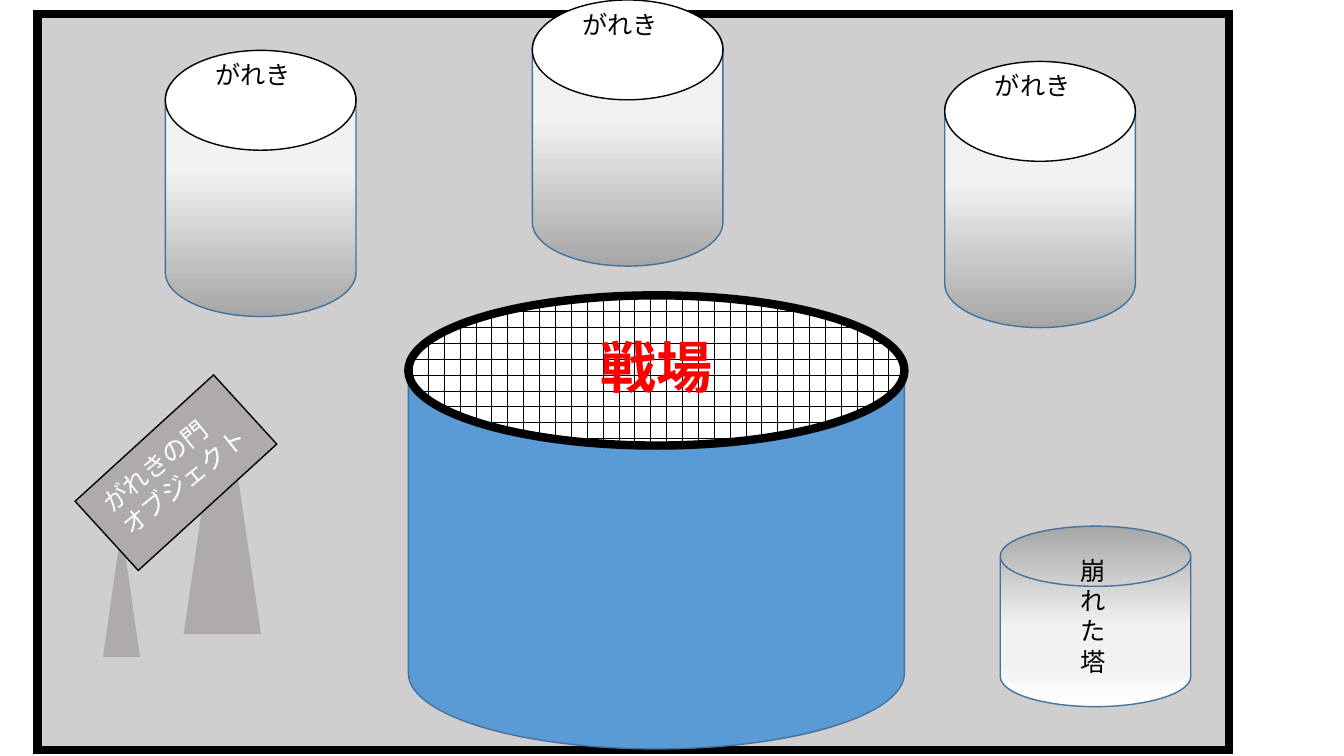
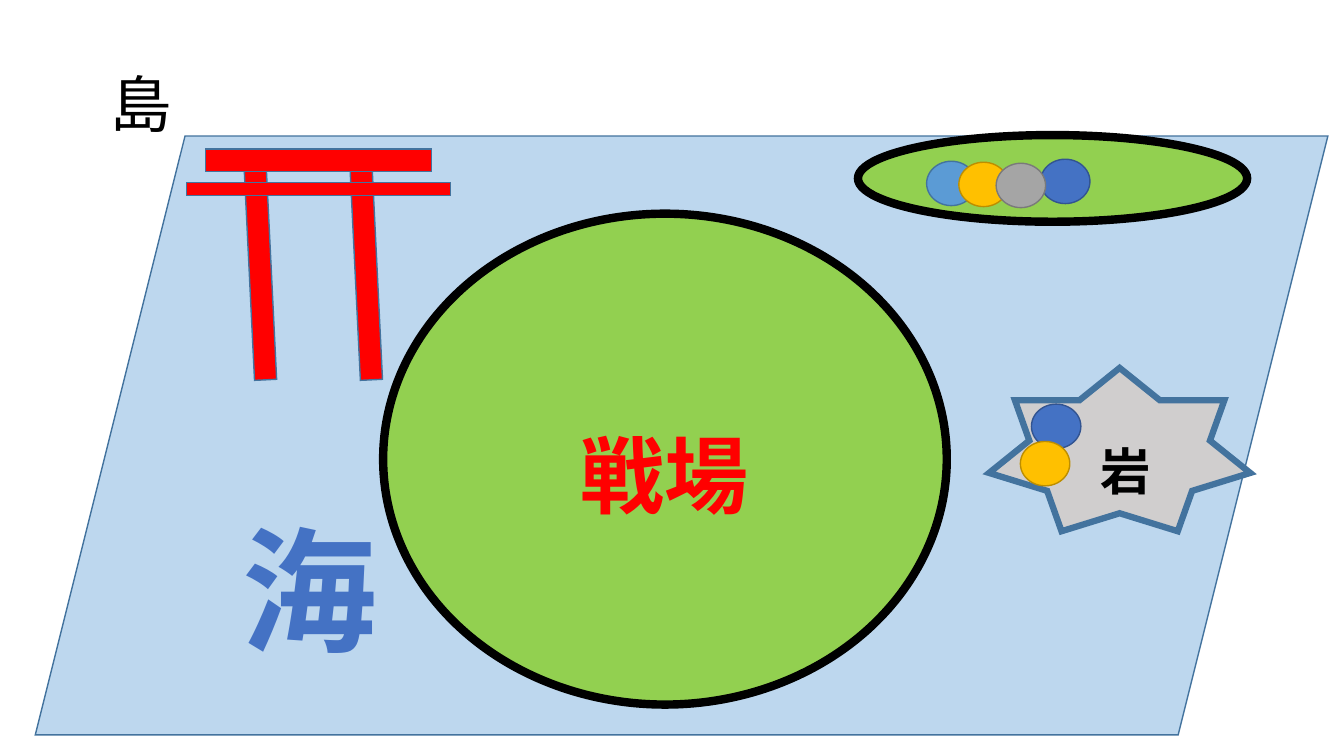
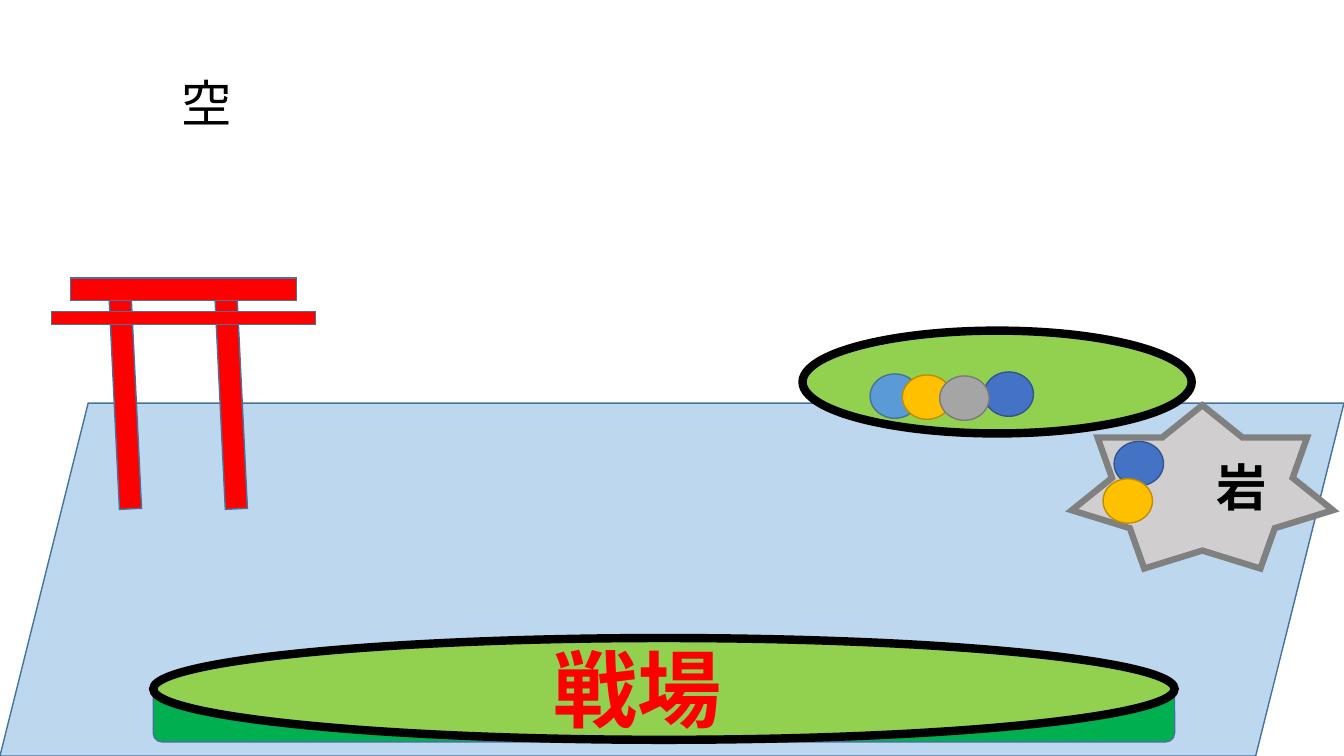
from lxml import etree
from pptx import Presentation, util as u
from pptx.dml.color import RGBColor
from pptx.enum import dml, lang, shapes, text
from pptx.oxml.ns import qn

C = {
    "black": "000000", "white": "FFFFFF", "red": "FF0000",
    "ground": "D0CECE", "gate": "AFABAB", "edge": "43739E",
    "sea": "BDD7EE", "grass": "92D050", "cliff": "00B050", "rock_edge": "808080",
    "blue": "5B9BD5", "gold": "FFC000", "gold_edge": "BD8E00",
    "navy": "4472C4", "navy_edge": "325491", "grey": "A5A5A5", "grey_edge": "7A7A7A",
}
FONT = "Calibri"
STONE = [(0, "FFFFFF"), (25, "F2F2F2"), (44, "F2F2F2"), (100, "A6A6A6")]
G = shapes.MSO_SHAPE
CENTER = text.PP_ALIGN.CENTER
DOT = (0.49, 0.44)


def add_shape(s, kind, at, fill, line="edge", width=1, rot=0):
    """Add a preset shape; without a fill colour the caller sets the fill."""
    sp = s.shapes.add_shape(kind, *map(u.Inches, at))
    sp.shadow.inherit = False
    sp.rotation = rot
    if fill:
        sp.fill.solid()
        sp.fill.fore_color.rgb = RGBColor.from_string(C[fill])
    sp.line.color.rgb = RGBColor.from_string(C[line])
    sp.line.width = u.Pt(width)
    etree.SubElement(sp.line._get_or_add_ln(), qn("a:miter"), lim="800000")
    return sp


def add_label(s, at, lines, size, color="black", bold=False, align=None, rot=0):
    tb = s.shapes.add_textbox(*map(u.Inches, at))
    tb.rotation = rot
    tf = tb.text_frame
    tf.word_wrap = True
    tf.text = lines
    fmt = {"name": FONT, "size": u.Pt(size), "bold": bold,
           "language_id": lang.MSO_LANGUAGE_ID.JAPANESE}
    for p in tf.paragraphs:
        p.alignment = align
        for r in p.runs:
            for key, value in fmt.items():
                setattr(r.font, key, value)
            r.font.color.rgb = RGBColor.from_string(C[color])
    return tf


prs = Presentation()
prs.slide_width, prs.slide_height = u.Inches(13.33), u.Inches(7.5)
blank = prs.slide_layouts[6]

# Slide 1: ruins
s = prs.slides.add_slide(blank)
add_shape(s, G.RECTANGLE, (0.37, 0.14, 11.82, 7.3), "ground", "black", 6)
add_shape(s, G.FLOWCHART_MAGNETIC_DISK, (4.05, 2.93, 4.92, 4.5), "blue")
arena = add_shape(s, G.OVAL, (4.05, 2.93, 4.92, 1.49), None, "black", 6)
arena.fill.patterned()
arena.fill.pattern = dml.MSO_PATTERN.DOTTED_GRID
arena.fill.fore_color.rgb = RGBColor.from_string(C["black"])
arena.fill.back_color.rgb = RGBColor.from_string(C["white"])
add_label(s, (5.28, 3.25, 2.46, 0.77), "戦場", 40, "red", True, CENTER)

# Stone cylinders: left, top, height, gradient angle, rubble on top
for x, y, h, angle, rubble in [
    (1.64, 0.54, 2.6, 270, True),
    (5.28, 0.04, 2.6, 270, True),
    (9.37, 0.65, 2.6, 270, True),
    (9.92, 5.22, 1.79, 90, False),
]:
    sp = add_shape(s, G.FLOWCHART_MAGNETIC_DISK, (x, y, 1.89, h), None)
    sp.fill.gradient()
    sp.fill.gradient_angle = angle
    stops = sp._element.spPr.find(".//" + qn("a:gsLst"))
    for old in list(stops):
        stops.remove(old)
    for pos, color in STONE:
        gs = etree.SubElement(stops, qn("a:gs"), pos=str(pos * 1000))
        etree.SubElement(gs, qn("a:srgbClr"), val=color)
    if rubble:
        add_shape(s, G.OVAL, (x, y - 0.04, 1.89, 0.99), "white", "black")
        add_label(s, (x + 0.4, y, 1.1, 0.4), "がれき", 18)
add_label(s, (10.62, 5.46, 0.64, 1.31), "崩れた塔", 18)

for leg_at in [(1.03, 5.46, 0.35, 1.05), (1.83, 4.09, 0.75, 2.19)]:
    leg = add_shape(s, G.TRAPEZOID, leg_at, "gate", "gate")
    leg.adjustments[0] = 0.428
add_shape(s, G.RECTANGLE, (1.28, 3.76, 0.93, 1.86), "gate", "black", rot=47.6)
add_label(s, (0.88, 4.3, 1.72, 0.71), "がれきの門\nオブジェクト", 18, "white", rot=321.1)

# Slides 2 and 3: the same island, seen from above and from the side
TORII = [(0.43, 0.05, 0.22, 2.24, 357.2), (1.48, 0.05, 0.22, 2.24, 357.2),
         (0, 0, 2.24, 0.22, 0), (-0.19, 0.33, 2.62, 0.13, 0)]
ROCK_CREW = [(0.42, 0.36, "navy", "navy_edge"), (0.31, 0.73, "gold", "gold_edge")]
ISLET_CREW = [(0, 0, "blue", "edge"), (0.32, 0.01, "gold", "gold_edge"),
              (1.13, -0.02, "navy", "navy_edge"), (0.69, 0.02, "grey", "grey_edge")]
VIEWS = [
    {"sea": (0.35, 1.35, 12.82, 5.94), "torii": (2.04, 1.48), "cliff": None,
     "field": (3.8, 2.12, 5.59, 4.87), "field_label": (5.36, 4.15, 2.46, 1.11),
     "rock": (9.81, 3.65), "rock_edge": "edge", "rock_label": (9.94, 4.32, 2.46, 0.71),
     "islet": (8.51, 1.34, 3.86, 0.86), "crew": (9.19, 1.6)},
    {"sea": (0, 4, 13.33, 3.5), "torii": (0.7, 2.76), "cliff": (1.52, 6.84, 10.13, 0.52),
     "field": (1.52, 6.33, 10.13, 1.01), "field_label": (4.09, 6.28, 4.47, 1.11),
     "rock": (10.63, 4.02), "rock_edge": "rock_edge", "rock_label": (11.09, 4.48, 2.46, 0.71),
     "islet": (7.96, 3.28, 3.86, 1.02), "crew": (8.63, 3.71)},
]
view_slides = []
for v in VIEWS:
    s = prs.slides.add_slide(blank)
    view_slides.append(s)
    add_shape(s, G.PARALLELOGRAM, v["sea"], "sea")
    x, y = v["torii"]
    for dx, dy, w, h, rot in TORII:
        add_shape(s, G.RECTANGLE, (x + dx, y + dy, w, h), "red", rot=rot)
    if v["cliff"]:
        add_shape(s, G.ROUNDED_RECTANGLE, v["cliff"], "cliff")
    add_shape(s, G.OVAL, v["field"], "grass", "black", 6)
    add_label(s, v["field_label"], "戦場", 60, "red", True, CENTER)
    add_shape(s, G.STAR_7_POINT, (*v["rock"], 2.59, 1.62), "ground", v["rock_edge"], 4.5)
    add_label(s, v["rock_label"], "岩", 36, bold=True, align=CENTER)
    add_shape(s, G.OVAL, v["islet"], "grass", "black", 6)
    for (x, y), crew in [(v["rock"], ROCK_CREW), (v["crew"], ISLET_CREW)]:
        for dx, dy, fill, line in crew:
            add_shape(s, G.OVAL, (x + dx, y + dy, *DOT), fill, line)

above, side = view_slides
tf = add_label(above, (1, 0.34, 11.5, 1.45), "島", 44)
tf.vertical_anchor = text.MSO_ANCHOR.MIDDLE
tf.paragraphs[0].line_spacing = 0.9
add_label(above, (2.31, 4.98, 1.05, 1.72), "海", 96, "navy", True, CENTER)
add_label(side, (0.22, 0.67, 3.65, 0.71), "空", 36, align=CENTER)

prs.save("out.pptx")
